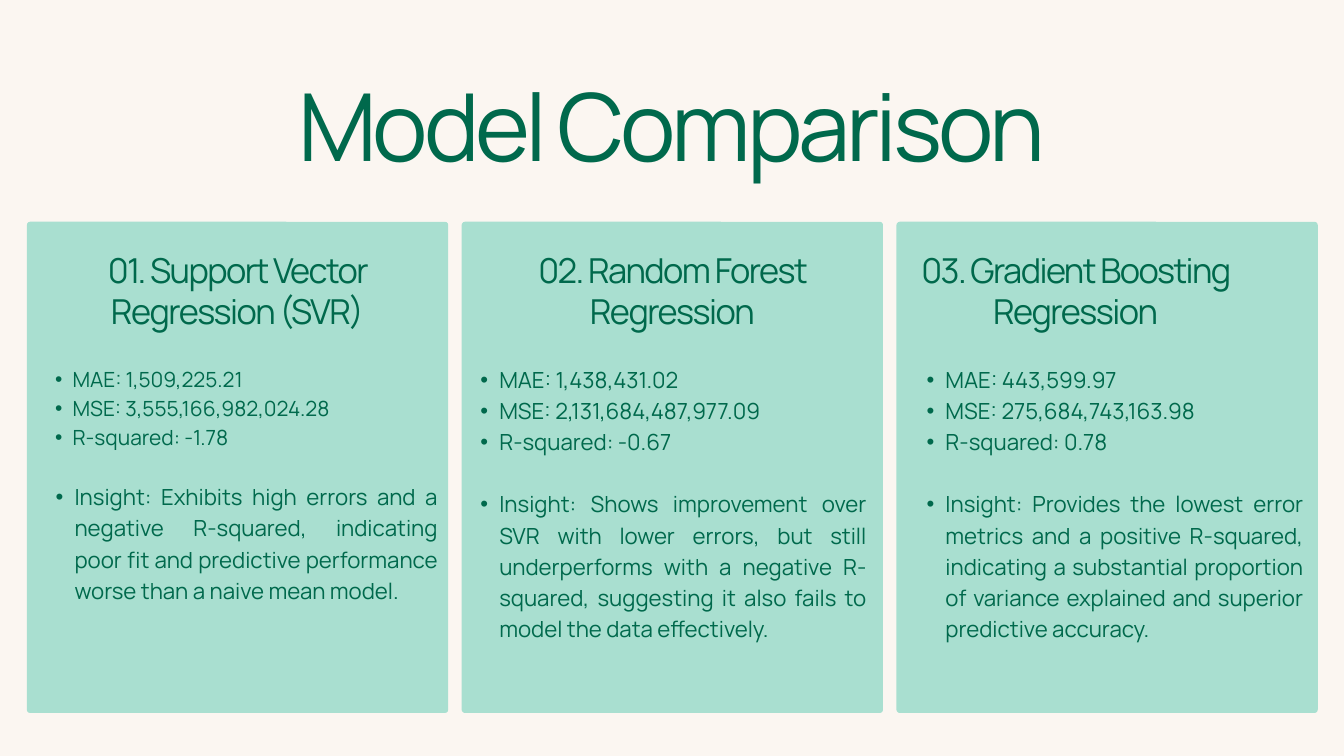
from lxml import etree
from pptx import Presentation
from pptx.dml.color import RGBColor
from pptx.enum.shapes import MSO_SHAPE
from pptx.enum.text import MSO_AUTO_SIZE, PP_ALIGN
from pptx.oxml.ns import qn
from pptx.util import Inches, Pt

ROUNDED = MSO_SHAPE.ROUNDED_RECTANGLE
GROW = MSO_AUTO_SIZE.SHAPE_TO_FIT_TEXT
CENTER = PP_ALIGN.CENTER
JUSTIFY = PP_ALIGN.JUSTIFY

COLORS = {"background": "FBF6F1", "card": "A9DFD0", "text": "00694C"}
FONT = "Manrope"

CARD_LEFT, CARD_TOP = 0.4, 3.3
CARD_WIDTH, CARD_HEIGHT = 6.27, 7.31
CARD_GAP = 0.2
CORNER = 0.05

SMALL_STYLE = (22.4, 31.3, 0.53, 0.26)
LARGE_STYLE = (23.8, 33.4, 0.56, 0.28)

MODELS = [
    {
        "heading": "01. Support Vector Regression (SVR)",
        "heading_box": (1.11, 3.71, 4.85, 1.24),
        "body_box": (0.55, 5.39, 5.96, 4.45),
        "metrics": ["MAE: 1,509,225.21", "MSE: 3,555,166,982,024.28", "R-squared: -1.78"],
        "metric_style": SMALL_STYLE,
        "insight": "Insight: Exhibits high errors and a negative R-squared, indicating "
                   "poor fit and predictive performance worse than a naive mean model.",
    },
    {
        "heading": "02. Random Forest Regression",
        "heading_box": (7.58, 3.71, 4.85, 1.24),
        "body_box": (6.87, 5.38, 6.02, 4.62),
        "metrics": ["MAE: 1,438,431.02", "MSE: 2,131,684,487,977.09", "R-squared: -0.67"],
        "metric_style": LARGE_STYLE,
        "insight": "Insight: Shows improvement over SVR with lower errors, but still "
                   "underperforms with a negative R-squared, suggesting it also fails "
                   "to model the data effectively.",
    },
    {
        "heading": "03. Gradient Boosting Regression",
        "heading_box": (13.31, 3.71, 5.39, 1.24),
        "body_box": (13.51, 5.38, 5.88, 4.62),
        "metrics": ["MAE: 443,599.97", "MSE: 275,684,743,163.98", "R-squared: 0.78"],
        "metric_style": LARGE_STYLE,
        "insight": "Insight: Provides the lowest error metrics and a positive R-squared, "
                   "indicating a substantial proportion of variance explained and "
                   "superior predictive accuracy.",
    },
]


class SlideBuilder:
    def __init__(self, slide):
        self.slide = slide
        self.colors = {name: RGBColor.from_string(value) for name, value in COLORS.items()}

    def background(self):
        fill = self.slide.background.fill
        fill.solid()
        fill.fore_color.rgb = self.colors["background"]

    def card(self, left):
        shape = self.slide.shapes.add_shape(
            ROUNDED, Inches(left), Inches(CARD_TOP), Inches(CARD_WIDTH), Inches(CARD_HEIGHT))
        shape.adjustments[0] = CORNER / CARD_WIDTH
        shape.shadow.inherit = False
        shape.fill.solid()
        shape.fill.fore_color.rgb = self.colors["card"]
        shape.line.fill.background()

    def text_box(self, box):
        frame = self.slide.shapes.add_textbox(*map(Inches, box)).text_frame
        frame.margin_left = frame.margin_top = frame.margin_right = frame.margin_bottom = 0
        frame.word_wrap = True
        frame.auto_size = GROW
        return frame

    def text_run(self, paragraph, text, size, line_height, alignment):
        paragraph.alignment = alignment
        paragraph.line_spacing = Pt(line_height)
        run = paragraph.add_run()
        run.text = text
        run.font.size = Pt(size)
        run.font.name = FONT
        run.font.color.rgb = self.colors["text"]
        return run

    def heading(self, box, text, size, line_height, tracking):
        paragraph = self.text_box(box).paragraphs[0]
        run = self.text_run(paragraph, text, size, line_height, CENTER)
        run._r.get_or_add_rPr().set("spc", str(round(tracking * 100)))

    def bullet(self, paragraph, text, style):
        size, line_height, margin, hanging = style
        properties = paragraph._p.get_or_add_pPr()
        properties.set("marL", str(Inches(margin)))
        properties.set("indent", str(-Inches(hanging)))
        etree.SubElement(properties, qn("a:buFont"), typeface="Arial")
        etree.SubElement(properties, qn("a:buChar"), char="•")
        self.text_run(paragraph, text, size, line_height, JUSTIFY)

    def body(self, model):
        frame = self.text_box(model["body_box"])
        style = model["metric_style"]
        for index, metric in enumerate(model["metrics"]):
            paragraph = frame.add_paragraph() if index else frame.paragraphs[0]
            self.bullet(paragraph, metric, style)
        insight = frame.add_paragraph()
        self.bullet(insight, model["insight"], LARGE_STYLE)
        insight.space_before = Pt(style[1])


def main():
    presentation = Presentation()
    presentation.slide_width = Inches(20)
    presentation.slide_height = Inches(11.25)
    builder = SlideBuilder(presentation.slides.add_slide(presentation.slide_layouts[6]))
    builder.background()
    for index in range(len(MODELS)):
        builder.card(CARD_LEFT + index * (CARD_WIDTH + CARD_GAP))
    builder.heading((2.42, 1.43, 15.15, 1.37), "Model Comparison", 100.4, 90.4, -4.6)
    for model in MODELS:
        builder.heading(model["heading_box"], model["heading"], 36.8, 44.2, -1.7)
        builder.body(model)
    presentation.save("out.pptx")


if __name__ == "__main__":
    main()
